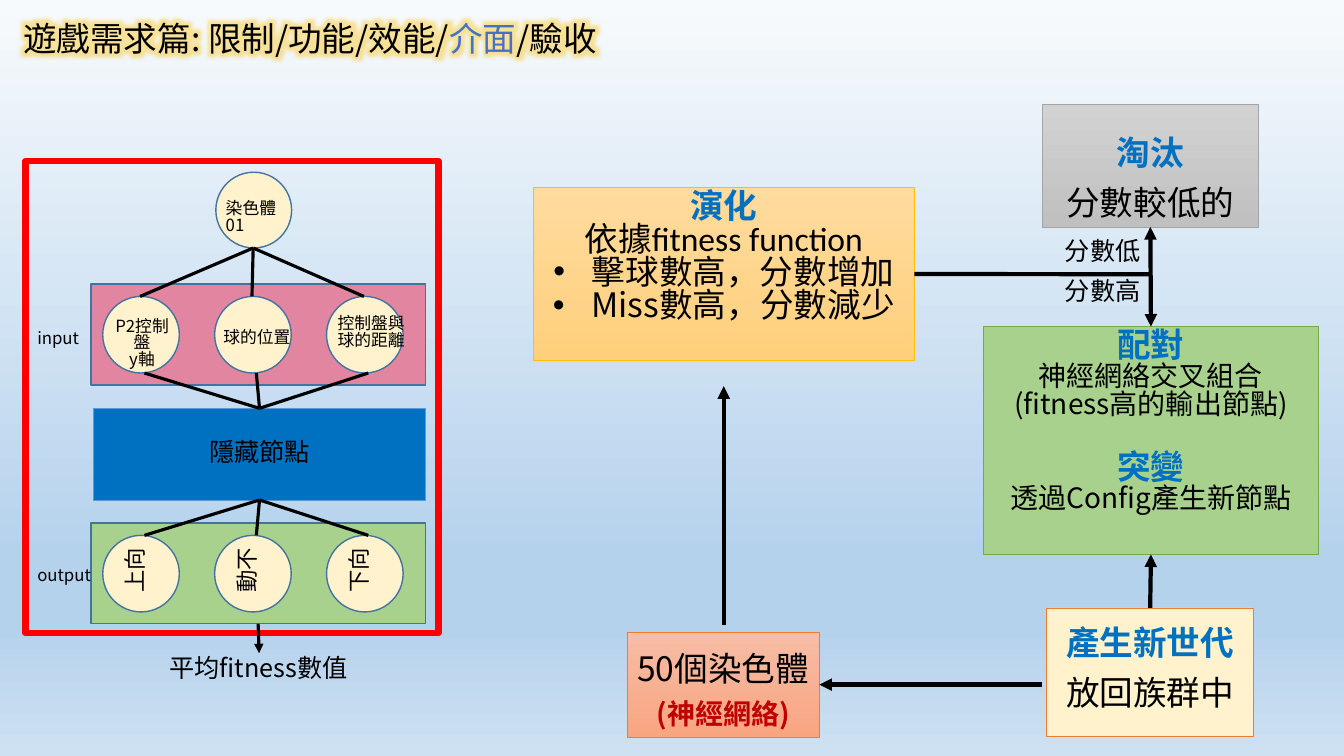
from lxml.etree import SubElement
from pptx import Presentation
from pptx.dml.color import RGBColor
from pptx.enum.shapes import MSO_CONNECTOR, MSO_SHAPE
from pptx.enum.text import MSO_ANCHOR, MSO_AUTO_SIZE, PP_ALIGN
from pptx.oxml import parse_xml
from pptx.oxml.ns import nsdecls, qn
from pptx.util import Cm, Pt

COLORS = {
    "black": "000000", "blue": "0070C0", "title blue": "4472C4", "dark red": "C00000",
    "red": "FF0000", "cream": "FFF2CC", "pink": "E185A1", "green": "A9D18E",
    "outline": "43739E", "orange line": "ED7D31", "gold line": "FFC000",
    "green line": "70AD47", "gray line": "A5A5A5", "blue line": "5B9BD5",
    "salmon top": "F7BDA5", "salmon bottom": "F8A582",
    "gold top": "FFDB9E", "gold bottom": "FFD07C",
    "green top": "B5D5A7", "green bottom": "9CC987",
    "gray top": "D2D2D2", "gray bottom": "C0C0C0",
    "blue top": "B1CBE9", "blue bottom": "93B9E4",
}
CJK = "Noto Sans CJK SC"
SINGLE, WIDE = 0.82, 1.23  # line spacing


def write(shape, text, size=24, color="black", bold=False, font=CJK, align=PP_ALIGN.CENTER,
          spacing=SINGLE, before=0, bullet=False, same_line=False):
    """Add a paragraph to the shape, or a run to its last paragraph."""
    frame = shape.text_frame
    paragraph = frame.paragraphs[-1]
    if not same_line:
        if paragraph.runs:
            paragraph = frame.add_paragraph()
        paragraph.alignment = align
        paragraph.line_spacing = spacing
        paragraph.space_before = Pt(before)
        properties = paragraph._p.get_or_add_pPr()
        indent = Cm(0.97) if bullet else 0
        properties.set("marL", str(indent))
        properties.set("indent", str(-indent))
        if bullet:
            SubElement(properties, qn("a:buFont"), typeface="Arial")
            SubElement(properties, qn("a:buChar"), char="•")
        else:
            SubElement(properties, qn("a:buNone"))
    run = paragraph.add_run()
    run.text = text
    run.font.size = Pt(size)
    run.font.bold = bold
    run.font.color.rgb = RGBColor.from_string(COLORS[color])
    run.font.name = font


def add_box(place, fill, line, weight=0.5, kind=MSO_SHAPE.RECTANGLE, anchor=MSO_ANCHOR.TOP,
            shape=None):
    """Add a shape, or move the given one; fill "x" is flat, "x top/bottom" a gradient."""
    left, top, width, height = map(Cm, place)
    if shape is None:
        shape = slide.shapes.add_shape(kind, left, top, width, height)
        shape.shadow.inherit = False
    shape.left, shape.top, shape.width, shape.height = left, top, width, height
    if fill is None:
        shape.fill.background()
    elif fill in COLORS:
        shape.fill.solid()
        shape.fill.fore_color.rgb = RGBColor.from_string(COLORS[fill])
    else:
        shape.fill.gradient()
        shape.fill.gradient_angle = 270
        for stop, end in zip(shape.fill.gradient_stops, ("top", "bottom")):
            stop.color.rgb = RGBColor.from_string(COLORS[f"{fill} {end}"])
    shape.line.color.rgb = RGBColor.from_string(COLORS[line])
    shape.line.width = Pt(weight)
    shape.text_frame.word_wrap = True
    shape.text_frame.auto_size = MSO_AUTO_SIZE.NONE
    shape.text_frame.vertical_anchor = anchor
    return shape


presentation = Presentation()
presentation.slide_width, presentation.slide_height = Cm(33.87), Cm(19.05)
slide = presentation.slides.add_slide(presentation.slide_layouts[1])

# Background
slide.background.fill.gradient()
slide.background.fill.gradient_angle = 270
stops = slide.element.find(".//" + qn("a:gsLst"))
for stop in list(stops):
    stops.remove(stop)
for position, color in ((0, "F7FAFD"), (74, "B5D2EC"), (83, "B5D2EC"), (100, "CEE1F2")):
    stop = SubElement(stops, qn("a:gs"), pos=str(position * 1000))
    SubElement(stop, qn("a:srgbClr"), val=color)

# Title
title = slide.shapes.title
title.left, title.top, title.width, title.height = Cm(0.33), Cm(0.08), Cm(31.27), Cm(1.63)
title.text_frame.vertical_anchor = MSO_ANCHOR.TOP
title.text_frame.auto_size = MSO_AUTO_SIZE.NONE
write(title, "遊戲需求篇: 限制/功能/效能/", align=PP_ALIGN.LEFT, spacing=WIDE)
write(title, "介面", color="title blue", same_line=True)
write(title, "/驗收", same_line=True)
for fill in list(title.element.iter(qn("a:solidFill"))):
    fill.addnext(parse_xml(
        f'<a:effectLst {nsdecls("a")}><a:glow rad="139700"><a:srgbClr val="FFC000">'
        '<a:alpha val="40000"/></a:srgbClr></a:glow></a:effectLst>'))

# Evolution cycle
chromosomes = add_box((15.8, 15.93, 4.85, 2.64), "salmon", "orange line",
                      anchor=MSO_ANCHOR.MIDDLE)
chromosomes.text_frame.margin_left = chromosomes.text_frame.margin_right = 0
write(chromosomes, "50個染色體", spacing=WIDE)
write(chromosomes, "(神經網絡)", size=20, color="dark red", bold=True, spacing=WIDE)

evolution = add_box((13.44, 4.72, 9.6, 4.37), "gold", "gold line",
                    shape=slide.placeholders[1])
write(evolution, "演化", color="blue", bold=True)
write(evolution, "依據")
write(evolution, "fitness function", font="Calibri", same_line=True)
write(evolution, "擊球數高，分數增加", bullet=True)
write(evolution, "Miss數高，分數減少", bullet=True)

pairing = add_box((24.79, 8.23, 8.43, 5.74), "green", "green line")
write(pairing, "配對", color="blue", bold=True)
write(pairing, "神經網絡交叉組合(fitness高的輸出節點)", size=20)
write(pairing, "突變", color="blue", bold=True, before=24)
write(pairing, "透過Config產生新節點", size=20)

culling = add_box((26.26, 2.62, 5.46, 3.1), "gray", "gray line", anchor=MSO_ANCHOR.BOTTOM)
write(culling, "淘汰", color="blue", bold=True, spacing=WIDE)
write(culling, "分數較低的", spacing=WIDE)

generation = add_box((26.37, 15.32, 5.23, 3.23), "cream", "orange line")
write(generation, "產生新世代", color="blue", bold=True, spacing=WIDE)
write(generation, "放回族群中", spacing=WIDE)

# Neural network
add_box((5.44, 4.34, 1.91, 1.91), "cream", "outline", 1, MSO_SHAPE.OVAL)
add_box((2.29, 7.16, 8.43, 2.54), "pink", "outline", 1)
output_band = add_box((2.29, 13.18, 8.43, 2.54), "green", "outline", 1)
hidden = add_box((2.36, 10.29, 8.36, 2.31), "blue", "blue line", anchor=MSO_ANCHOR.MIDDLE)
write(hidden, "隱藏節點", size=18)

# Connectors: start, end, width, arrowheads, joined start, joined end
connectors = [
    ((18.24, 15.75), (18.24, 9.73), 3, ["tailEnd"], None, None),
    ((23.04, 6.91), (29, 6.91), 3, [], (evolution, 3), None),
    ((29, 5.72), (29, 8.23), 3, ["headEnd", "tailEnd"], (culling, 2), (pairing, 0)),
    ((26.26, 17.25), (20.65, 17.25), 3, ["tailEnd"], None, (chromosomes, 3)),
    ((29, 15.32), (29, 13.97), 3, ["tailEnd"], (generation, 0), (pairing, 2)),
    ((6.5, 15.72), (6.53, 16.46), 2.25, ["tailEnd"], (output_band, 2), None),
]
for column, action in enumerate(("向上", "不動", "向下")):
    shift = 2.82 * column
    add_box((2.59 + shift, 7.47, 1.93, 1.93), "cream", "outline", 1, MSO_SHAPE.OVAL)
    node = add_box((2.59 + shift, 13.49, 1.93, 1.93), "cream", "outline", 1, MSO_SHAPE.OVAL,
                   MSO_ANCHOR.MIDDLE)
    node.rotation = 270
    node.text_frame._txBody.bodyPr.set("vert", "eaVert")
    write(node, action, size=16)
    connectors += [
        ((6.38, 6.25), (3.53 + shift, 7.47), 2.25, [], None, None),
        ((3.64 + shift, 9.4), (6.54, 10.29), 2.25, [], None, (hidden, 0)),
        ((3.64 + shift, 13.49), (6.54, 12.6), 2.25, [], None, (hidden, 2)),
    ]
add_box((0.64, 4.06, 10.41, 11.89), None, "red", 4.5)

for start, end, width, arrowheads, joined_start, joined_end in connectors:
    connector = slide.shapes.add_connector(MSO_CONNECTOR.STRAIGHT, *map(Cm, start + end))
    if joined_start:
        connector.begin_connect(*joined_start)
    if joined_end:
        connector.end_connect(*joined_end)
    connector.line.color.rgb = RGBColor.from_string(COLORS["black"])
    connector.line.width = Pt(width)
    for arrowhead in arrowheads:
        SubElement(connector.line._get_or_add_ln(), qn(f"a:{arrowhead}"), type="triangle")
    SubElement(connector.element.spPr, qn("a:effectLst"))

# Labels
LEFT, CENTER = PP_ALIGN.LEFT, PP_ALIGN.CENTER
for place, lines, size, align, spacing, wrap in (
    ((5.44, 4.95, 2.18, 0.76), ["染色體01"], 12, LEFT, SINGLE, True),
    ((2.46, 7.92, 2.24, 1.27), ["P2控制盤", "y軸"], 12, CENTER, SINGLE, True),
    ((5.38, 8, 2.59, 1.02), ["球的位置"], 12, LEFT, WIDE, True),
    ((8.26, 7.85, 2.59, 1.27), ["控制盤與", "球的距離"], 12, LEFT, SINGLE, True),
    ((0.69, 8.03, 1.68, 1.02), ["input"], 12, LEFT, WIDE, True),
    ((0.69, 14, 2.06, 1.02), ["output"], 12, LEFT, WIDE, True),
    ((3.78, 16.46, 5.46, 1.02), ["平均fitness數值"], 18, CENTER, SINGLE, True),
    ((26.57, 5.64, 2.44, 1.27), ["分數低"], 18, CENTER, WIDE, False),
    ((26.57, 6.65, 2.44, 1.42), ["分數高"], 18, CENTER, WIDE, False),
):
    label = slide.shapes.add_textbox(*map(Cm, place))
    label.text_frame.word_wrap = wrap
    for line in lines:
        write(label, line, size=size, align=align, spacing=spacing)

# East Asian font beside each Latin one
for latin in list(slide.element.iter(qn("a:latin"))):
    latin.addnext(parse_xml(f'<a:ea {nsdecls("a")} typeface="{CJK}"/>'))

presentation.save("out.pptx")
